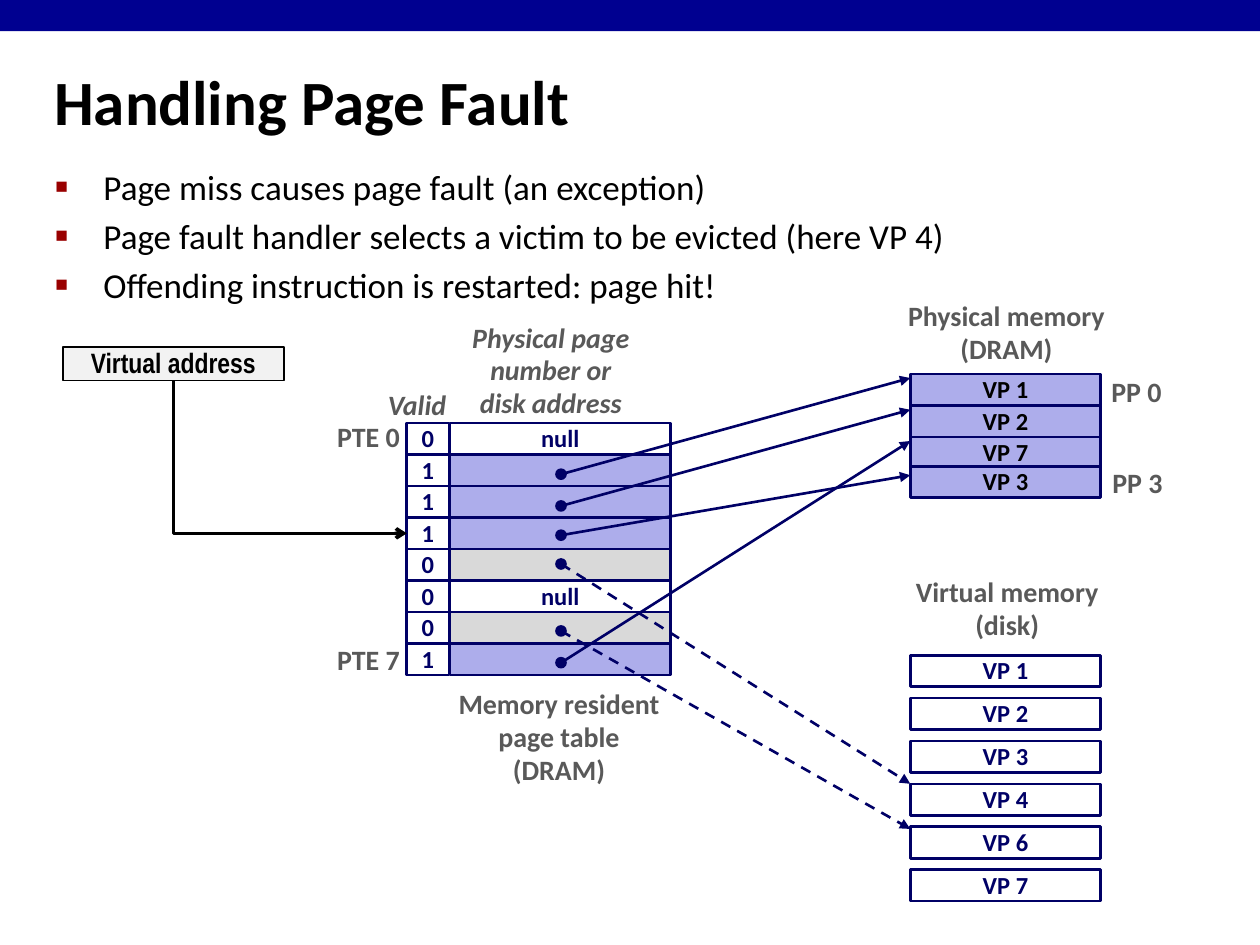
from dataclasses import dataclass

import lxml.etree
import pptx
import pptx.dml.color
import pptx.enum.dml
import pptx.enum.shapes
import pptx.enum.text
import pptx.oxml
import pptx.oxml.ns
import pptx.util

Cm, Pt = pptx.util.Cm, pptx.util.Pt
Color = pptx.dml.color.RGBColor.from_string
Align, Anchor = pptx.enum.text.PP_ALIGN, pptx.enum.text.MSO_ANCHOR
Shape = pptx.enum.shapes.MSO_SHAPE
Connector = pptx.enum.shapes.MSO_CONNECTOR
qn = pptx.oxml.ns.qn


@dataclass(frozen=True)
class Theme:
    font: str = "Calibri"
    narrow_font: str = "Arial Narrow"
    black: str = "000000"
    white: str = "FFFFFF"
    banner: str = "000090"
    bullet: str = "990000"
    navy: str = "000066"
    cached: str = "ADADEB"
    on_disk: str = "D9D9D9"
    address: str = "F2F2F2"
    label: str = "595959"
    title_size: int = 36
    list_size: int = 20
    label_size: int = 16
    cell_size: int = 14


theme = Theme()


def write(shape, text, size, color, align=Align.CENTER, italic=False, font=theme.font):
    """Put bold, unwrapped, vertically centred text into a shape."""
    frame = shape.text_frame
    frame.text = text
    frame.word_wrap = False
    frame.vertical_anchor = Anchor.MIDDLE
    for paragraph in frame.paragraphs:
        paragraph.alignment = align
        paragraph.line_spacing = 0.98
        for span in paragraph.runs:
            span.font.name, span.font.size = font, Pt(size)
            span.font.bold, span.font.italic = True, italic
            span.font.color.rgb = Color(color)


def add_box(kind, left, top, width, height, fill, line=theme.navy, weight=1.5):
    box = page.shapes.add_shape(kind, Cm(left), Cm(top), Cm(width), Cm(height))
    box.shadow.inherit = False
    box.fill.solid()
    box.fill.fore_color.rgb = Color(fill)
    box.line.color.rgb = Color(line)
    box.line.width = Pt(weight)
    return box


deck = pptx.Presentation()
deck.slide_width, deck.slide_height = Cm(25.4), Cm(19.05)
page = deck.slides.add_slide(deck.slide_layouts[1])

banner = add_box(Shape.RECTANGLE, 0, 0, 25.4, 0.63, theme.banner)
banner.line.fill.background()

# Title and list
title, body = page.placeholders
title.left, title.top, title.width, title.height = Cm(0.84), Cm(0.99), Cm(23.01), Cm(2.18)
write(title, "Handling Page Fault", theme.title_size, theme.black, Align.LEFT)

body.left, body.top, body.width, body.height = Cm(0.86), Cm(3.2), Cm(23.09), Cm(2.11)
body.text_frame.text = "\n".join([
    "Page miss causes page fault (an exception)",
    "Page fault handler selects a victim to be evicted (here VP 4)",
    "Offending instruction is restarted: page hit!",
])
body.text_frame.auto_size = pptx.enum.text.MSO_AUTO_SIZE.NONE
for paragraph in body.text_frame.paragraphs:
    span = paragraph.runs[0]
    span.font.name, span.font.size = theme.font, Pt(theme.list_size)
    span.font.color.rgb = Color(theme.black)
    properties = paragraph._p.get_or_add_pPr()
    properties.set("marL", str(Cm(0.97)))
    properties.set("indent", str(Cm(-0.97)))
    bullet_color = lxml.etree.SubElement(properties, qn("a:buClr"))
    lxml.etree.SubElement(bullet_color, qn("a:srgbClr"), val=theme.bullet)
    lxml.etree.SubElement(properties, qn("a:buSzPct"), val="60000")
    lxml.etree.SubElement(properties, qn("a:buFont"), typeface="Arial")
    lxml.etree.SubElement(properties, qn("a:buChar"), char="■")

# Page table: valid bit, fill, dot height and arrow target height (None for null)
row_height = 0.635
page_table = [
    ("0", theme.white, None, None),
    ("1", theme.cached, 9.56, 7.62),
    ("1", theme.cached, 10.2, 8.26),
    ("1", theme.cached, 10.79, 9.58),
    ("0", theme.on_disk, 11.37, 15.8),
    ("0", theme.white, None, None),
    ("0", theme.on_disk, 12.72, 16.71),
    ("1", theme.cached, 13.36, 8.89),
]
valid_cells = []
for row, (valid, fill, dot_y, target_y) in enumerate(page_table):
    top = 8.53 + row * row_height
    entry = add_box(Shape.RECTANGLE, 9.07, top, 4.45, row_height, fill)
    if dot_y is None:
        write(entry, "null", theme.cell_size, theme.navy)
    valid_cell = add_box(Shape.RECTANGLE, 8.2, top, 0.85, row_height, theme.white)
    write(valid_cell, valid, theme.cell_size, theme.navy)
    valid_cells.append(valid_cell)

# Physical and virtual memory
memory_left, memory_width = 18.35, 3.84
for name, top in [("VP 1", 7.54), ("VP 2", 8.18), ("VP 7", 8.81), ("VP 3", 9.4)]:
    frame_box = add_box(Shape.RECTANGLE, memory_left, top, memory_width, row_height, theme.cached)
    write(frame_box, name, theme.cell_size, theme.black)
for index, number in enumerate([1, 2, 3, 4, 6, 7]):
    disk_page = add_box(Shape.RECTANGLE, memory_left, 13.21 + index * 0.864,
                        memory_width, row_height, theme.white)
    write(disk_page, f"VP {number}", theme.cell_size, theme.navy)

# Pointers from the page table to memory
dot_x, dot_size = 11.31, 0.2
pointers = []
for valid, fill, dot_y, target_y in page_table:
    if dot_y is None:
        continue
    pointer = page.shapes.add_connector(Connector.STRAIGHT, Cm(dot_x), Cm(dot_y),
                                        Cm(memory_left), Cm(target_y))
    if valid == "0":
        pointer.line.dash_style = pptx.enum.dml.MSO_LINE.DASH
    pointers.append((pointer, theme.navy, 1.5, "triangle"))
    add_box(Shape.OVAL, dot_x - dot_size / 2, dot_y - dot_size / 2,
            dot_size, dot_size, theme.navy, weight=1)

# Virtual address and its path to PTE 3
address = add_box(Shape.RECTANGLE, 1.27, 6.99, 4.45, 0.68, theme.address, theme.black, 1)
write(address, "Virtual address", theme.label_size, theme.black, font=theme.narrow_font)
lookup = page.shapes.add_connector(Connector.ELBOW, 0, 0, 0, 0)
lookup.begin_connect(address, 2)
lookup.end_connect(valid_cells[3], 1)
start_x, start_y = address.left + address.width // 2, address.top + address.height
end_x, end_y = valid_cells[3].left, valid_cells[3].top + valid_cells[3].height // 2
across, down = end_x - start_x, end_y - start_y
# A single-bend connector is a turned, mirrored frame around the same centre
lookup.left, lookup.top = (start_x + end_x - down) // 2, (start_y + end_y - across) // 2
lookup.width, lookup.height = down, across
transform = lookup._element.spPr.find(qn("a:xfrm"))
transform.attrib.pop("flipV", None)
transform.set("rot", "16200000")
transform.set("flipH", "1")
lookup._element.spPr.find(qn("a:prstGeom")).set("prst", "bentConnector2")

for connector, color, weight, head in pointers + [(lookup, theme.black, 2, "arrow")]:
    connector.line.color.rgb = Color(color)
    connector.line.width = Pt(weight)
    lxml.etree.SubElement(connector.line._get_or_add_ln(), qn("a:tailEnd"), type=head)
    lxml.etree.SubElement(connector._element.spPr, qn("a:effectLst"))

# Labels
for text, left, top, width, height, align, italic in [
    ("Memory resident\npage table\n(DRAM)", 8.92, 13.74, 4.7, 2.26, Align.CENTER, False),
    ("Physical memory\n(DRAM)", 18.03, 5.92, 4.52, 1.6, Align.CENTER, False),
    ("Virtual memory\n(disk)", 18.16, 11.48, 4.29, 1.6, Align.CENTER, False),
    ("Valid", 7.57, 7.7, 1.9, 0.94, Align.LEFT, True),
    ("Physical page\nnumber or\ndisk address", 9.25, 6.35, 3.71, 2.26, Align.CENTER, True),
    ("PTE 0", 6.53, 8.36, 1.78, 0.94, Align.RIGHT, False),
    ("PTE 7", 6.53, 12.85, 1.78, 0.94, Align.RIGHT, False),
    ("PP 0", 22.15, 7.44, 1.52, 0.94, Align.CENTER, False),
    ("PP 3", 22.17, 9.27, 1.52, 0.94, Align.CENTER, False),
]:
    label = page.shapes.add_textbox(Cm(left), Cm(top), Cm(width), Cm(height))
    write(label, text, theme.label_size, theme.label, align, italic)

deck.save("out.pptx")
